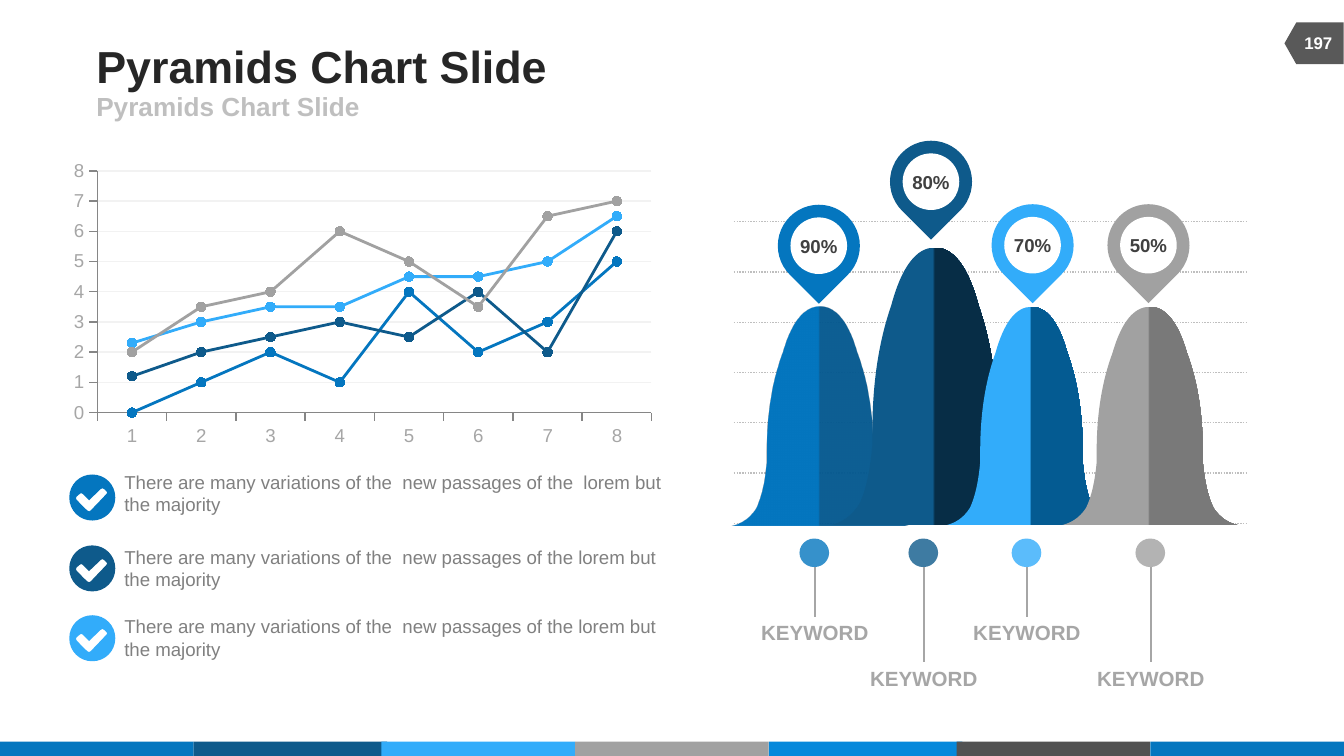
from dataclasses import dataclass

from lxml import etree
from pptx import Presentation
from pptx.chart.data import CategoryChartData
from pptx.dml.color import RGBColor
from pptx.enum.chart import XL_CHART_TYPE, XL_MARKER_STYLE, XL_TICK_LABEL_POSITION, XL_TICK_MARK
from pptx.enum.dml import MSO_LINE
from pptx.enum.shapes import MSO_CONNECTOR, MSO_SHAPE
from pptx.enum.text import MSO_ANCHOR, MSO_AUTO_SIZE, PP_ALIGN
from pptx.oxml.ns import qn
from pptx.util import Cm, Pt

RECT, OVAL, DROP = MSO_SHAPE.RECTANGLE, MSO_SHAPE.OVAL, MSO_SHAPE.TEAR
TAG = MSO_SHAPE.FLOWCHART_OFFPAGE_CONNECTOR
LEFT, CENTER = PP_ALIGN.LEFT, PP_ALIGN.CENTER
TOP, MIDDLE = MSO_ANCHOR.TOP, MSO_ANCHOR.MIDDLE
DOTTED, STRAIGHT = MSO_LINE.ROUND_DOT, MSO_CONNECTOR.STRAIGHT

BLUE = RGBColor(0x04, 0x76, 0xBF)
NAVY = RGBColor(0x0E, 0x5A, 0x8B)
SKY = RGBColor(0x32, 0xAC, 0xFA)
GRAY = RGBColor(0xA1, 0xA1, 0xA1)
AZURE = RGBColor(0x05, 0x88, 0xDB)
CHARCOAL = RGBColor(0x52, 0x52, 0x52)
TAG_GRAY = RGBColor(0x59, 0x59, 0x59)
BLUE_SHADE = RGBColor(0x03, 0x58, 0x8F)
NAVY_SHADE = RGBColor(0x07, 0x2D, 0x46)
SKY_SHADE = RGBColor(0x04, 0x5B, 0x92)
GRAY_SHADE = RGBColor(0x79, 0x79, 0x79)
WHITE = RGBColor(0xFF, 0xFF, 0xFF)
INK = RGBColor(0x26, 0x26, 0x26)
DARK = RGBColor(0x40, 0x40, 0x40)
BODY = RGBColor(0x80, 0x80, 0x80)
LABEL = RGBColor(0xA6, 0xA6, 0xA6)
RULE = RGBColor(0xBF, 0xBF, 0xBF)
GRID = RGBColor(0xF2, 0xF2, 0xF2)
AXIS = RGBColor(0x86, 0x86, 0x86)

Point = tuple[float, float]


@dataclass
class Peak:
    color: RGBColor
    shade: RGBColor
    shade_alpha: int
    box: tuple[float, float, float, float]
    pin: Point
    percent: str
    dot_x: float
    stem_end: float


@dataclass
class Check:
    color: RGBColor
    icon_y: float
    text_y: float
    text: str


PEAKS = [
    Peak(BLUE, BLUE_SHADE, 95, (13.82, 5.79, 3.35, 4.14), (14.7, 3.87), "90%", 15.11, 11.66),
    Peak(NAVY, NAVY_SHADE, 100, (15.7, 4.68, 3.94, 5.25), (16.82, 2.66), "80%", 17.17, 12.52),
    Peak(SKY, SKY_SHADE, 100, (17.88, 5.8, 3.23, 4.13), (18.74, 3.86), "70%", 19.12, 11.66),
    Peak(GRAY, GRAY_SHADE, 100, (20.06, 5.8, 3.34, 4.13), (20.93, 3.86), "50%", 21.46, 12.52),
]
CHECKS = [
    Check(BLUE, 8.97, 8.9,
          "There are many variations of the  new passages of the  lorem but the majority"),
    Check(NAVY, 10.31, 10.31,
          "There are many variations of the  new passages of the lorem but the majority"),
    Check(SKY, 11.63, 11.63,
          "There are many variations of the  new passages of the lorem but the majority"),
]
SERIES = [
    ("Series 1", BLUE, (0, 1, 2, 1, 4, 2, 3, 5)),
    ("Series 2", NAVY, (1.2, 2, 2.5, 3, 2.5, 4, 2, 6)),
    ("Series 3", SKY, (2.3, 3, 3.5, 3.5, 4.5, 4.5, 5, 6.5)),
    ("Series 4", GRAY, (2, 3.5, 4, 6, 5, 3.5, 6.5, 7)),
]
BANDS = [(0, BLUE), (3.66, NAVY), (7.21, SKY), (10.87, GRAY), (14.53, AZURE),
         (18.08, CHARCOAL), (21.74, BLUE)]

SLOPE = [(0.5, 0),
         (0.59, 0), (0.66, 0.07), (0.71, 0.21),
         (0.77, 0.34), (0.8, 0.49), (0.8, 0.66),
         (0.8, 0.68), (0.8, 0.69), (0.8, 0.71),
         (0.81, 0.8), (0.83, 0.87), (0.86, 0.92),
         (0.9, 0.97), (0.95, 0.99), (1, 1)]
BELL = [(1 - u, v) for u, v in reversed(SLOPE)] + SLOPE[1:]
CIRCLE = [(0.5, 1),
          (0.22, 1), (0, 0.78), (0, 0.5),
          (0, 0.22), (0.22, 0), (0.5, 0),
          (0.78, 0), (1, 0.22), (1, 0.5),
          (1, 0.78), (0.78, 1), (0.5, 1)]
TICK = [(0.81, 0.37),
        (0.78, 0.34), (0.77, 0.33), (0.76, 0.32),
        (0.73, 0.29), (0.71, 0.29), (0.68, 0.32),
        (0.6, 0.4), (0.51, 0.48), (0.43, 0.56),
        (0.38, 0.51), (0.34, 0.47), (0.29, 0.42),
        (0.27, 0.4), (0.25, 0.4), (0.23, 0.42),
        (0.21, 0.44), (0.18, 0.46), (0.16, 0.48),
        (0.14, 0.5), (0.14, 0.53), (0.16, 0.55),
        (0.24, 0.63), (0.31, 0.71), (0.39, 0.78),
        (0.42, 0.81), (0.44, 0.81), (0.47, 0.78),
        (0.58, 0.66), (0.7, 0.54), (0.81, 0.42),
        (0.83, 0.41), (0.83, 0.39), (0.81, 0.37)]


def write(tf, text: str, *, size: float, color: RGBColor, bold=True, align=CENTER,
          anchor=MIDDLE, wrap=True) -> None:
    tf.margin_left = tf.margin_right = tf.margin_top = tf.margin_bottom = 0
    tf.auto_size = MSO_AUTO_SIZE.NONE
    tf.word_wrap, tf.vertical_anchor = wrap, anchor
    p = tf.paragraphs[0]
    p.alignment, p.space_before = align, Pt(0)
    r = p.add_run()
    r.text = text
    r.font.name, r.font.size, r.font.bold = "Arial", Pt(size), bold
    r.font.color.rgb = color
    r.font._element.set("cap", "none")


def text_box(slide, x: float, y: float, w: float, h: float, text: str, **fmt) -> None:
    write(slide.shapes.add_textbox(Cm(x), Cm(y), Cm(w), Cm(h)).text_frame, text, **fmt)


def set_alpha(sp, percent: int) -> None:
    color = list(sp._element.spPr.iter(qn("a:srgbClr")))[-1]
    etree.SubElement(color, qn("a:alpha")).set("val", str(percent * 1000))


def paint(sp, color: RGBColor) -> None:
    sp.shadow.inherit = False
    sp.fill.solid()
    sp.fill.fore_color.rgb = color
    sp.line.fill.background()


def add_preset(slide, kind, x: float, y: float, w: float, h: float, color: RGBColor, turn=0):
    sp = slide.shapes.add_shape(kind, Cm(x), Cm(y), Cm(w), Cm(h))
    sp.rotation = turn
    paint(sp, color)
    return sp


def add_line(slide, start: Point, end: Point, color: RGBColor, dash=None) -> None:
    ln = slide.shapes.add_connector(STRAIGHT, *map(Cm, start + end))
    ln.line.color.rgb, ln.line.width = color, Pt(0.75)
    if dash:
        ln.line.dash_style = dash
    etree.SubElement(ln._element.spPr, qn("a:effectLst"))


def bend(sp) -> None:
    sides = list(sp._element.spPr.iter(qn("a:lnTo")))
    for first, second, third in zip(sides[::3], sides[1::3], sides[2::3]):
        first.tag = qn("a:cubicBezTo")
        for side in (second, third):
            first.append(side[0])
            side.getparent().remove(side)


def add_outline(slide, contours: list[list[Point]], x: float, y: float, w: float, h: float,
                color: RGBColor):
    placed = [[(Cm(x + u * w), Cm(y + v * h)) for u, v in c] for c in contours]
    builder = slide.shapes.build_freeform(*placed[0][0])
    for i, points in enumerate(placed):
        if i:
            builder.move_to(*points[0])
        builder.add_line_segments(points[1:], close=True)
    sp = builder.convert_to_shape()
    etree_safe = sp
    bend(etree_safe)
    paint(sp, color)
    return sp


def add_bell(slide, peak: Peak) -> None:
    sp = add_outline(slide, [BELL], *peak.box, peak.color)
    sp.fill.gradient()
    sp.fill.gradient_angle = 0
    stops = zip(sp.fill.gradient_stops, (0.49, 0.5), (peak.color, peak.shade))
    for stop, position, color in stops:
        stop.position, stop.color.rgb = position, color
    if peak.shade_alpha < 100:
        set_alpha(sp, peak.shade_alpha)


def add_pin(slide, peak: Peak) -> None:
    x, y = peak.pin
    add_preset(slide, DROP, x, y, 1.55, 1.55, peak.color, 135)
    hole = add_preset(slide, OVAL, x + 0.24, y + 0.24, 1.07, 1.07, WHITE)
    write(hole.text_frame, peak.percent, size=10, color=DARK)


def add_keyword(slide, peak: Peak) -> None:
    mid = peak.dot_x + 0.29
    set_alpha(add_preset(slide, OVAL, peak.dot_x, 10.18, 0.56, 0.54, peak.color), 80)
    add_line(slide, (mid, 10.72), (mid, peak.stem_end), LABEL)
    text_box(slide, mid - 1.03, peak.stem_end + 0.06, 2.06, 0.48, "KEYWORD",
             size=11, color=LABEL, anchor=TOP, wrap=False)


def add_check(slide, item: Check) -> None:
    add_outline(slide, [CIRCLE, TICK], 1.31, item.icon_y, 0.87, 0.87, item.color)
    text_box(slide, 2.35, item.text_y, 10.19, 0.86, item.text,
             size=10, color=BODY, bold=False, align=LEFT, anchor=TOP)


def add_line_chart(slide) -> None:
    data = CategoryChartData()
    data.categories = range(1, 9)
    for name, _, values in SERIES:
        data.add_series(name, values)
    chart = slide.shapes.add_chart(XL_CHART_TYPE.LINE_MARKERS, Cm(1.17), Cm(2.92),
                                   Cm(11.37), Cm(5.64), data).chart
    chart.has_legend = chart.has_title = False
    chart.font.name, chart.font.size, chart.font.color.rgb = "Arial", Pt(10), LABEL
    for axis in (chart.category_axis, chart.value_axis):
        axis.major_tick_mark = XL_TICK_MARK.OUTSIDE
        axis.format.line.color.rgb = AXIS
    chart.category_axis.tick_label_position = XL_TICK_LABEL_POSITION.LOW
    val = chart.value_axis
    val.minimum_scale, val.maximum_scale, val.major_unit = 0, 8, 1
    val.major_gridlines.format.line.color.rgb = GRID
    val.major_gridlines.format.line.width = Pt(0.75)
    chart.plots[0].vary_by_categories = False
    for series, (_, color, _) in zip(chart.plots[0].series, SERIES):
        series.smooth = False
        series.format.line.color.rgb, series.format.line.width = color, Pt(1.5)
        series.marker.style, series.marker.size = XL_MARKER_STYLE.CIRCLE, 5
        series.marker.format.fill.solid()
        series.marker.format.fill.fore_color.rgb = color
        series.marker.format.line.color.rgb = color


def main() -> None:
    prs = Presentation()
    prs.slide_width, prs.slide_height = Cm(25.4), Cm(14.29)
    slide = prs.slides.add_slide(prs.slide_layouts[2])
    title, subtitle = slide.placeholders
    headings = [(title, (1.82, 0.74, 15.67, 0.99), 24, INK),
                (subtitle, (1.82, 1.73, 11.43, 0.56), 14, RULE)]
    for sp, box, size, color in headings:
        sp.left, sp.top, sp.width, sp.height = map(Cm, box)
        write(sp.text_frame, "Pyramids Chart Slide", size=size, color=color, align=LEFT)

    for x, color in BANDS:
        add_preset(slide, RECT, x, 14.02, 3.66, 0.27, color)
    add_preset(slide, TAG, 24.44, 0.26, 0.79, 1.12, TAG_GRAY, 90)
    text_box(slide, 24.38, 0.43, 1.07, 0.76, "197", size=9, color=WHITE)
    for i in range(7):
        y = 4.19 + 0.95 * i
        add_line(slide, (13.87, y), (23.57, y), RULE, DOTTED)
    for draw in (add_bell, add_pin, add_keyword):
        for peak in PEAKS:
            draw(slide, peak)
    add_line_chart(slide)
    for item in CHECKS:
        add_check(slide, item)
    prs.save("out.pptx")


if __name__ == "__main__":
    main()
